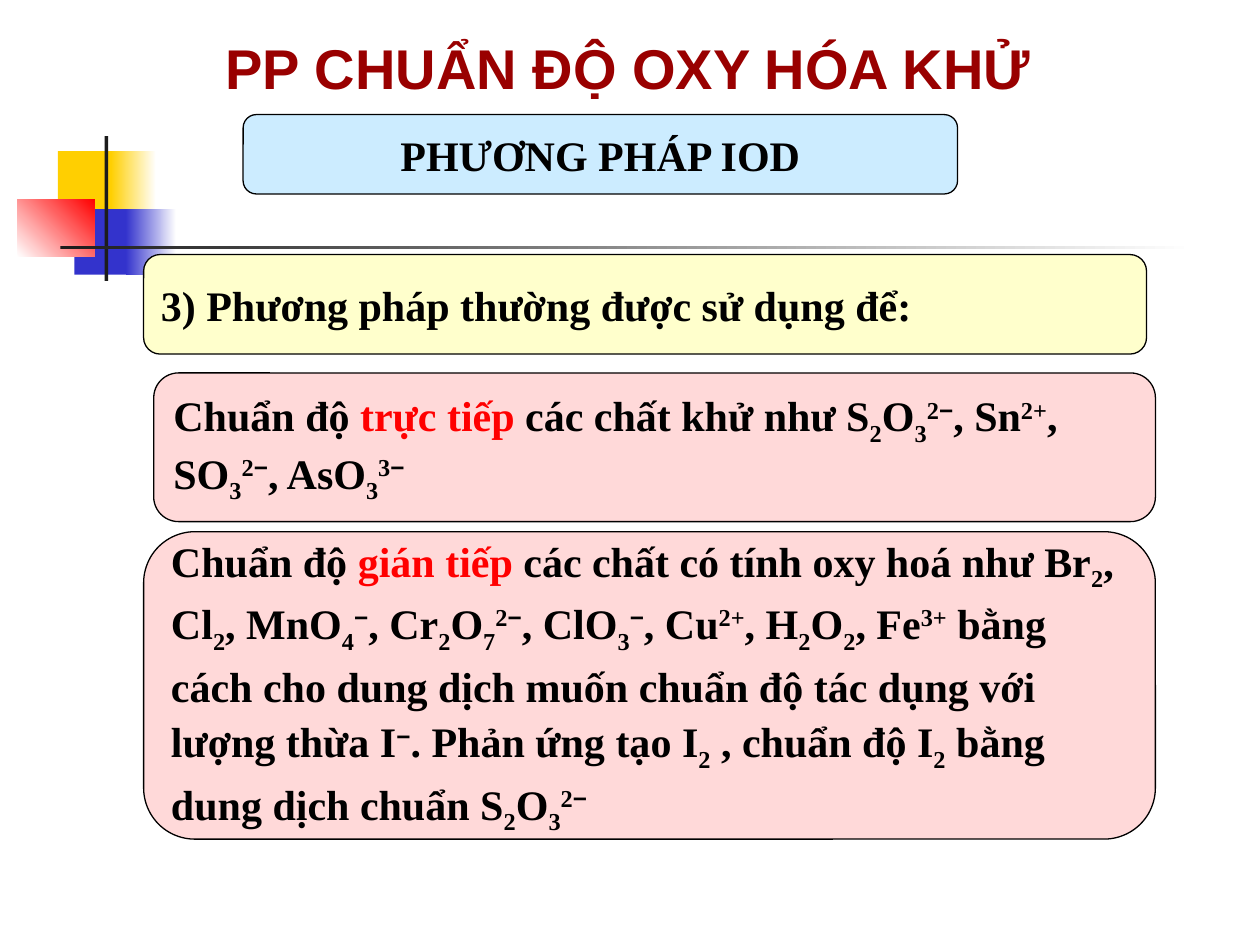
from dataclasses import dataclass

from pptx import Presentation
from pptx.dml.color import RGBColor
from pptx.enum import shapes, text
from pptx.util import Inches, Pt


@dataclass(frozen=True)
class Theme:
    heading_font: str = "Arial"
    body_font: str = "Times New Roman"
    title_size: int = 32
    body_size: int = 24
    title: str = "990000"
    ink: str = "000000"
    accent: str = "FF0000"
    yellow: str = "FFCF01"
    blue: str = "3333CC"
    red: str = "FF0000"
    dark: str = "1C1C1C"
    white: str = "FFFFFF"
    pink: str = "FFD9D9"
    sky: str = "CCECFF"
    cream: str = "FFFFCC"


theme = Theme()
BASELINES = {"_": "-25000", "^": "30000"}


def add_filled_shape(kind, box, colors, angle=0):
    shape = slide.shapes.add_shape(kind, *map(Inches, box))
    shape.shadow.inherit = False
    shape.line.fill.background()
    if len(colors) == 1:
        shape.fill.solid()
        shape.fill.fore_color.rgb = RGBColor.from_string(colors[0])
    else:
        shape.fill.gradient()
        shape.fill.gradient_angle = angle
        for stop, color in zip(shape.fill.gradient_stops, colors):
            stop.color.rgb = RGBColor.from_string(color)
    return shape


def add_marked_runs(paragraph, line):
    for piece in line.split("|"):
        mark = piece[0]
        run = paragraph.add_run()
        run.text = piece[1:] if mark in "_^*" else piece
        if mark in BASELINES:
            run.font._element.set("baseline", BASELINES[mark])
        if mark == "*":
            run.font.color.rgb = RGBColor.from_string(theme.accent)
        if run.text == "−":
            run.font.name = theme.heading_font


presentation = Presentation()
presentation.slide_width = Inches(10)
presentation.slide_height = Inches(7.5)
slide = presentation.slides.add_slide(presentation.slide_layouts[5])

decorations = [
    ((0.46, 1.2, 0.48, 0.52), [theme.yellow], 0),
    ((0.88, 1.2, 0.36, 0.52), [theme.yellow, theme.white], 0),
    ((0.59, 1.66, 0.46, 0.52), [theme.blue], 0),
    ((1, 1.66, 0.4, 0.52), [theme.blue, theme.white], 0),
    ((0.14, 1.58, 0.61, 0.46), [theme.white, theme.red], 45),
    ((0.83, 1.08, 0.03, 1.15), [theme.dark], 0),
    ((0.48, 1.95, 9, 0.03), [theme.dark, theme.white], 0),
]
for box, colors, angle in decorations:
    add_filled_shape(shapes.MSO_SHAPE.RECTANGLE, box, colors, angle)

title = slide.shapes.title
title.left, title.top, title.width, title.height = map(Inches, (1.69, 0.21, 6.87, 0.64))
title.text_frame.text = "PP CHUẨN ĐỘ OXY HÓA KHỬ"
title.text_frame.word_wrap = False
title.text_frame.auto_size = text.MSO_AUTO_SIZE.NONE
title.text_frame.vertical_anchor = text.MSO_ANCHOR.MIDDLE
paragraph = title.text_frame.paragraphs[0]
paragraph.alignment = text.PP_ALIGN.LEFT
paragraph.font.name = theme.heading_font
paragraph.font.size = Pt(theme.title_size)
paragraph.font.bold = True
paragraph.font.color.rgb = RGBColor.from_string(theme.title)

direct_lines = [
    "Chuẩn độ |*trực tiếp| các chất khử như S|_2|O|_3|^2|^−|, Sn|^2+|,",
    "SO|_3|^2|^−|, AsO|_3|^3|^−",
]
indirect_lines = [
    "Chuẩn độ |*gián tiếp| các chất có tính oxy hoá như Br|_2|,",
    "Cl|_2|, MnO|_4|^−|, Cr|_2|O|_7|^2|^−|, ClO|_3|^−|, Cu|^2+|, H|_2|O|_2|, Fe|^3+| bằng",
    "cách cho dung dịch muốn chuẩn độ tác dụng với",
    "lượng thừa I|^−|. Phản ứng tạo I|_2| , chuẩn độ I|_2| bằng",
    "dung dịch chuẩn S|_2|O|_3|^2|^−",
]
justify, center = text.PP_ALIGN.JUSTIFY, text.PP_ALIGN.CENTER
panels = [
    ((1.22, 2.96, 7.95, 1.18), theme.pink, justify, 0, direct_lines),
    ((1.14, 4.22, 8.03, 2.44), theme.pink, justify, 3, indirect_lines),
    ((1.93, 0.91, 5.67, 0.63), theme.sky, center, 0, ["PHƯƠNG PHÁP IOD"]),
    ((1.14, 2.02, 7.96, 0.79), theme.cream, justify, 0,
     ["3) Phương pháp thường được sử dụng để:"]),
]
for box, color, alignment, space_before, lines in panels:
    panel = add_filled_shape(shapes.MSO_SHAPE.ROUNDED_RECTANGLE, box, [color])
    panel.line.color.rgb = RGBColor.from_string(theme.ink)
    panel.line.width = Pt(0.75)
    frame = panel.text_frame
    frame.word_wrap = False
    frame.vertical_anchor = text.MSO_ANCHOR.MIDDLE
    for index, line in enumerate(lines):
        paragraph = frame.add_paragraph() if index else frame.paragraphs[0]
        paragraph.alignment = alignment
        if index:
            paragraph.space_before = Pt(space_before)
        paragraph.font.name = theme.body_font
        paragraph.font.size = Pt(theme.body_size)
        paragraph.font.bold = True
        paragraph.font.color.rgb = RGBColor.from_string(theme.ink)
        add_marked_runs(paragraph, line)

presentation.save("out.pptx")
